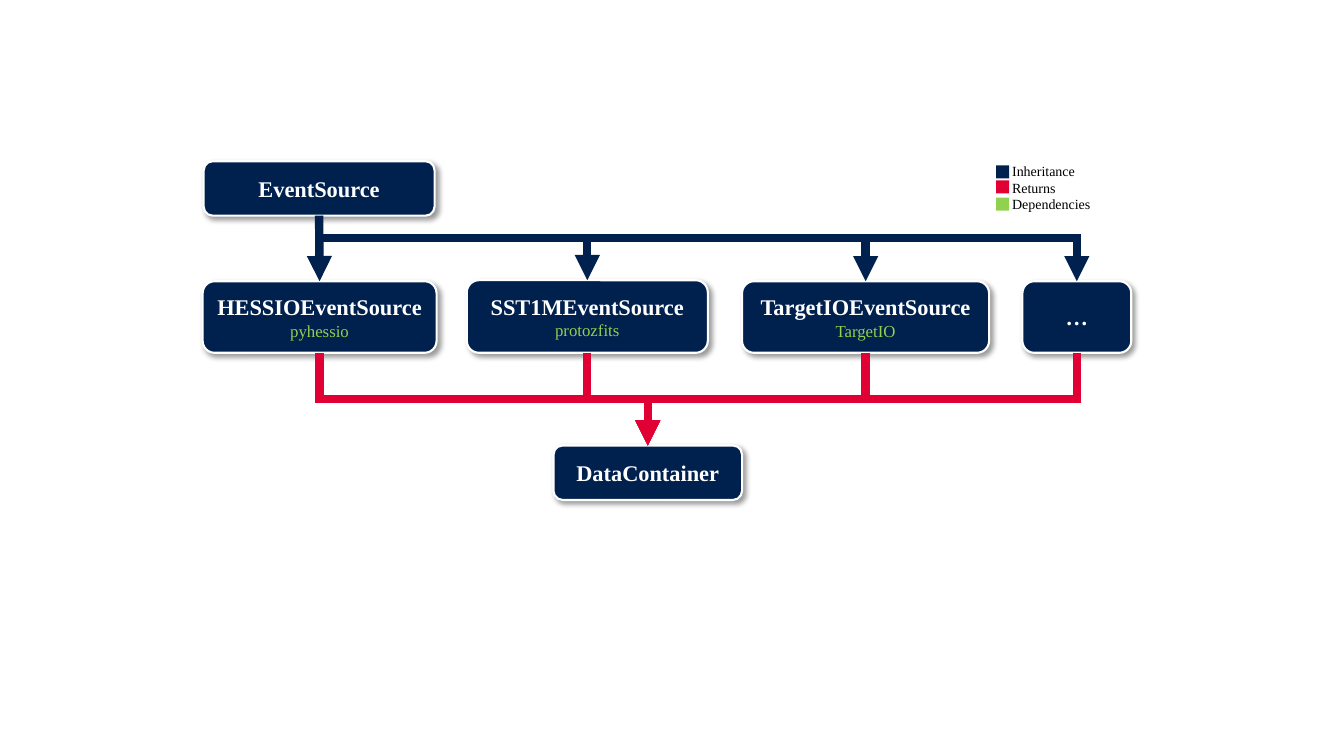
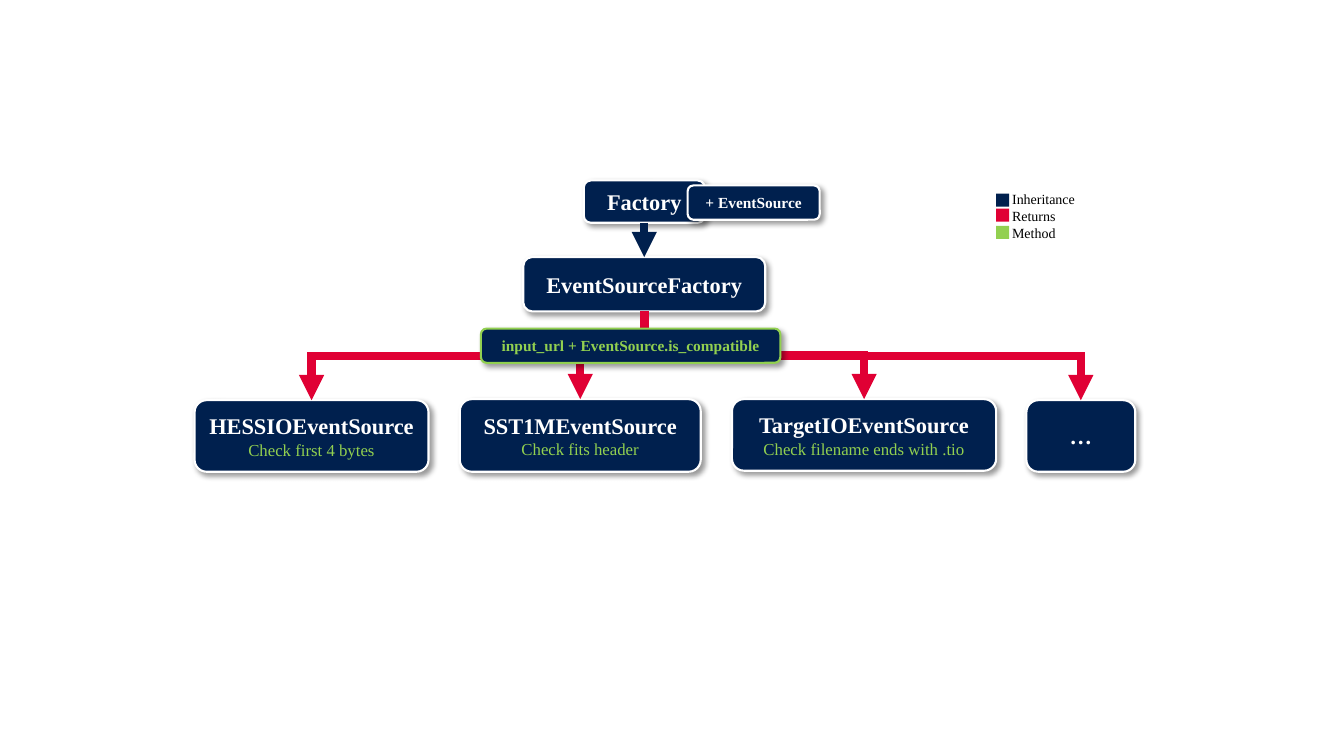
from lxml import etree
from pptx import Presentation
from pptx.dml.color import RGBColor
from pptx.enum.shapes import MSO_CONNECTOR, MSO_SHAPE
from pptx.enum.text import MSO_ANCHOR, PP_ALIGN
from pptx.oxml.ns import qn
from pptx.util import Inches, Pt

ELBOW, STRAIGHT = MSO_CONNECTOR.ELBOW, MSO_CONNECTOR.STRAIGHT
RECT, ROUNDED = MSO_SHAPE.RECTANGLE, MSO_SHAPE.ROUNDED_RECTANGLE
MIDDLE = MSO_ANCHOR.MIDDLE
LEFT, CENTER = PP_ALIGN.LEFT, PP_ALIGN.CENTER

FONT = "Times New Roman"
COLORS = {"navy": "00204E", "red": "E00034", "green": "92D050",
          "white": "FFFFFF", "black": "000000"}
TOP, BOTTOM = 0, 2  # connection sites of a rounded rectangle


def rgb(name):
    return RGBColor.from_string(COLORS[name])


def sub(parent, tag, **attrs):
    return etree.SubElement(parent, qn(tag), attrs)


def add_text(tf, text, size=16, color="white", bold=False, align=CENTER):
    """Write text into the first empty paragraph, or into a new one."""
    p = tf.paragraphs[0]
    if p.runs:
        p = tf.add_paragraph()
    p.alignment = align
    r = p.add_run()
    r.text = text
    r.font.name, r.font.size, r.font.bold = FONT, Pt(size), bold
    r.font.color.rgb = rgb(color)


def add_shadow(sp):
    sp.shadow.inherit = False
    effects = sp._element.spPr.find(qn("a:effectLst"))
    shadow = sub(effects, "a:outerShdw", blurRad=str(Pt(4)), dist=str(Pt(3)),
                 dir="2700000", algn="tl", rotWithShape="0")
    sub(sub(shadow, "a:srgbClr", val=COLORS["black"]), "a:alpha", val="40000")


def add_box(slide, at, title, note=None, size=16, color="white", outline="white"):
    """Class box: bold title with an optional green note below."""
    sp = slide.shapes.add_shape(ROUNDED, *map(Inches, at))
    sp.fill.solid()
    sp.fill.fore_color.rgb = rgb("navy")
    sp.line.color.rgb = rgb(outline)
    sp.line.width = Pt(1.5)
    add_shadow(sp)
    tf = sp.text_frame
    tf.word_wrap = True
    tf.vertical_anchor = MIDDLE
    add_text(tf, title, size=size, color=color, bold=True)
    if note:
        add_text(tf, note, size=12, color="green")
    return sp


def add_arrow(slide, start, end, color, bend=None):
    """Arrow from the bottom of start to the top of end.

    bend is the drop before the turn; by default it is half way.
    """
    x1, y1 = start.left + start.width // 2, start.top + start.height
    x2, y2 = end.left + end.width // 2, end.top
    dx, dy = x2 - x1, y2 - y1
    straight = abs(dx) < Inches(0.02)
    cxn = slide.shapes.add_connector(STRAIGHT if straight else ELBOW, x1, y1, x2, y2)
    cxn.begin_connect(start, BOTTOM)
    cxn.end_connect(end, TOP)
    sp_pr = cxn._element.spPr

    # An elbow that leaves downwards is a turned horizontal one
    if not straight:
        cxn.width, cxn.height = dy, abs(dx)
        cxn.left, cxn.top = (x1 + x2 - dy) // 2, (y1 + y2 - abs(dx)) // 2
        xfrm = sp_pr.find(qn("a:xfrm"))
        xfrm.set("rot", "16200000" if dx > 0 else "5400000")
        xfrm.set("flipH", "1" if dx > 0 else "0")
        xfrm.set("flipV", "0")
        share = Inches(bend) / dy if bend else 0.5
        guides = sp_pr.find(qn("a:prstGeom")).find(qn("a:avLst"))
        sub(guides, "a:gd", name="adj1", fmla=f"val {round(share * 100000)}")

    cxn.line.color.rgb = rgb(color)
    cxn.line.width = Pt(6)
    ln = sp_pr.find(qn("a:ln"))
    sub(ln, "a:miter", lim="800000")
    sub(ln, "a:tailEnd", type="triangle")
    sub(sp_pr, "a:effectLst")


def add_legend(slide, top, last_label):
    entries = [("Inheritance", "navy", 0.08), ("Returns", "red", 0.23),
               (last_label, "green", 0.4)]
    tb = slide.shapes.add_textbox(*map(Inches, (9.94, top, 1.1, 0.61)))
    tb.text_frame.word_wrap = True
    for label, color, drop in entries:
        add_text(tb.text_frame, label, size=10, color="black", align=LEFT)
        sp = slide.shapes.add_shape(RECT, *map(Inches, (9.88, top + drop, 0.13, 0.13)))
        sp.fill.solid()
        sp.fill.fore_color.rgb = rgb(color)
        sp.line.fill.background()
        sp.shadow.inherit = False


def build_inheritance(slide):
    base = add_box(slide, (2.02, 1.6, 2.29, 0.54), "EventSource")
    container = add_box(slide, (5.49, 4.42, 1.87, 0.54), "DataContainer")
    sources = [
        add_box(slide, (2.01, 2.79, 2.32, 0.71), "HESSIOEventSource", "pyhessio"),
        add_box(slide, (4.63, 2.78, 2.39, 0.72), "SST1MEventSource", "protozfits"),
        add_box(slide, (7.36, 2.79, 2.45, 0.71), "TargetIOEventSource", "TargetIO"),
        add_box(slide, (10.14, 2.79, 1.08, 0.71), "…"),
    ]
    for source in sources:
        add_arrow(slide, base, source, "navy", bend=0.22)
        add_arrow(slide, source, container, "red")
    add_legend(slide, 1.56, "Dependencies")


def build_factory(slide):
    sources = [
        add_box(slide, (1.93, 3.97, 2.32, 0.71), "HESSIOEventSource",
                "Check first 4 bytes"),
        add_box(slide, (4.56, 3.96, 2.39, 0.72), "SST1MEventSource",
                "Check fits header"),
        add_box(slide, (7.26, 3.96, 2.62, 0.71), "TargetIOEventSource",
                "Check filename ends with .tio"),
        add_box(slide, (10.18, 3.97, 1.08, 0.71), "…"),
    ]
    factory = add_box(slide, (5.19, 2.55, 2.4, 0.54), "EventSourceFactory")
    for source in sources:
        add_arrow(slide, factory, source, "red")
    base = add_box(slide, (5.79, 1.79, 1.2, 0.42), "Factory")
    add_arrow(slide, base, factory, "navy")

    # Labels that lie over the boxes and arrows
    add_box(slide, (6.82, 1.84, 1.31, 0.34), "+ EventSource", size=11)
    add_box(slide, (4.77, 3.26, 2.97, 0.34), "input_url + EventSource.is_compatible",
            size=11, color="green", outline="green")
    add_legend(slide, 1.84, "Method")


def main():
    prs = Presentation()
    prs.slide_width, prs.slide_height = Inches(13.33), Inches(7.5)
    for build in (build_inheritance, build_factory):
        build(prs.slides.add_slide(prs.slide_layouts[6]))
    prs.save("out.pptx")


if __name__ == "__main__":
    main()
